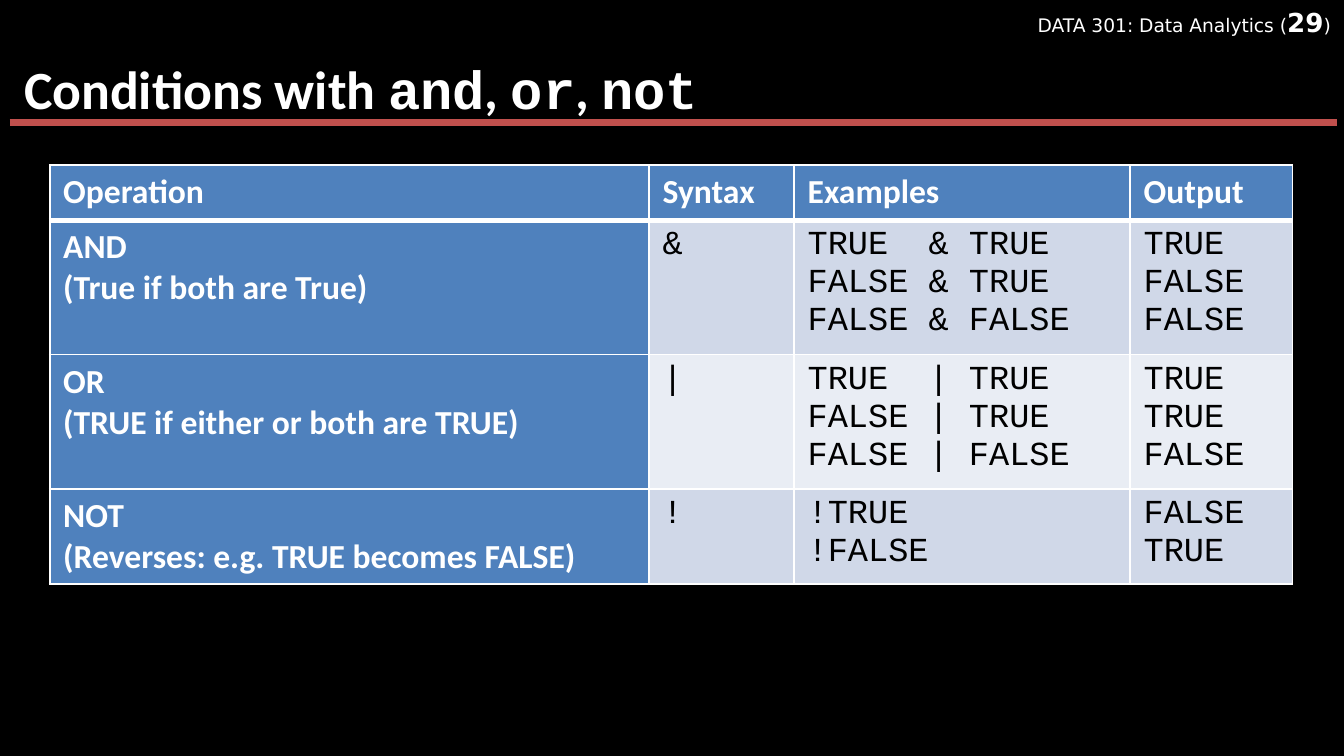
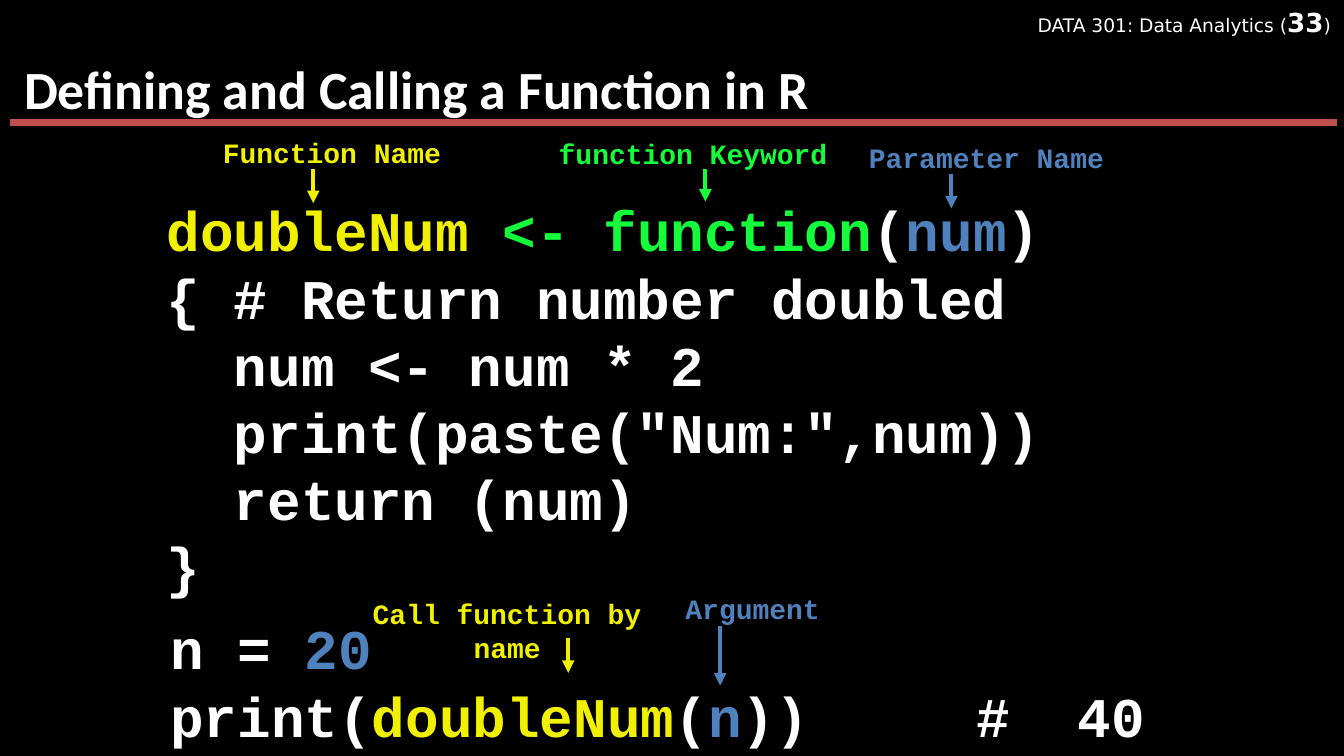
import pptx
import pptx.dml.color
import pptx.enum.shapes
import pptx.enum.text
import pptx.oxml.ns
import pptx.util
from lxml import etree

Cm = pptx.util.Cm
Pt = pptx.util.Pt
RGB = pptx.dml.color.RGBColor
qn = pptx.oxml.ns.qn
Align = pptx.enum.text.PP_ALIGN
Fit = pptx.enum.text.MSO_AUTO_SIZE
LINE = pptx.enum.shapes.MSO_CONNECTOR.STRAIGHT

BLACK = RGB(0x00, 0x00, 0x00)
WHITE = RGB(0xFF, 0xFF, 0xFF)
RED = RGB(0xC0, 0x50, 0x4D)
BLUE = RGB(0x4F, 0x81, 0xBD)
YELLOW = RGB(0xF0, 0xF0, 0x00)
GREEN = RGB(0x14, 0xFD, 0x3A)
BANDS = (RGB(0xD0, 0xD8, 0xE8), RGB(0xE9, 0xED, 0xF4))

SANS, MONO, SMALL = "Calibri", "Courier New", "DejaVu Sans"
CODE = {"font": MONO, "size": 30, "bold": True}


def write(frame, lines, align=Align.LEFT, space=None, tabs=(), **style):
    """Fill a frame; a line is a string or a list of (text, style changes)."""
    for i, line in enumerate(lines):
        para = frame.paragraphs[0] if i == 0 else frame.add_paragraph()
        para.alignment = align
        if space:
            para.line_spacing = space
        if tabs:
            props = para._p.get_or_add_pPr()
            stops = etree.SubElement(props, qn("a:tabLst"))
            for stop in tabs:
                etree.SubElement(stops, qn("a:tab"), pos=str(Cm(stop)), algn="l")
        for text, change in [(line, {})] if isinstance(line, str) else line:
            look = {"font": SANS, "size": 18, "bold": False, "color": WHITE}
            look.update(style)
            look.update(change)
            run = para.add_run()
            run.text = text
            run.font.name = look["font"]
            run.font.size = Pt(look["size"])
            run.font.bold = look["bold"]
            run.font.color.rgb = look["color"]


def add_text(shapes, box, lines, **style):
    frame = shapes.add_textbox(*map(Cm, box)).text_frame
    frame.word_wrap = True
    frame.auto_size = Fit.SHAPE_TO_FIT_TEXT
    write(frame, lines, **style)


def add_line(shapes, start, end, color, width, arrow=False):
    line = shapes.add_connector(LINE, *map(Cm, start + end))
    line.line.color.rgb = color
    line.line.width = Pt(width)
    props = line.element.spPr
    if arrow:
        etree.SubElement(props.find(qn("a:ln")), qn("a:tailEnd"), type="triangle")
    etree.SubElement(props, qn("a:effectLst"))


def add_page(deck, number, title):
    """Add a slide with the course line, the red rule and a title."""
    page = deck.slides.add_slide(deck.slide_layouts[5])
    add_text(page.shapes, (14.17, 0, 11.23, 0.86),
             [[("DATA 301: Data Analytics (", {}),
               (number, {"size": 14, "bold": True}), (")", {})]],
             align=Align.RIGHT, font=SMALL, size=10)
    add_line(page.shapes, (0.18, 2.31), (25.27, 2.31), RED, 3.75)
    head = page.shapes.title
    head.left, head.top, head.width, head.height = map(Cm, (0.2, 0, 24.97, 2.29))
    frame = head.text_frame
    frame.auto_size = Fit.NONE
    frame.vertical_anchor = pptx.enum.text.MSO_ANCHOR.BOTTOM
    frame.margin_top = frame.margin_bottom = 0
    write(frame, [title], space=0.89, size=28.8, bold=True)
    return page.shapes


def edge(cell, top, bottom):
    """Draw white cell borders with the given top and bottom widths."""
    props = cell._tc.get_or_add_tcPr()
    for side, width in zip("LRTB", (1, 1, top, bottom)):
        line = etree.SubElement(props, qn("a:ln" + side), w=str(Pt(width)))
        fill = etree.SubElement(line, qn("a:solidFill"))
        etree.SubElement(fill, qn("a:srgbClr"), val=str(WHITE))


def add_grid(shapes, left, top, widths, heights, rows):
    """Add a table with a blue first row and first column."""
    box = map(Cm, (left, top, sum(widths), sum(heights)))
    table = shapes.add_table(len(rows), len(widths), *box).table
    for column, width in zip(table.columns, widths):
        column.width = Cm(width)
    for r, row in enumerate(rows):
        table.rows[r].height = Cm(heights[r])
        for c, lines in enumerate(row):
            cell = table.cell(r, c)
            edge(cell, 3 if r == 1 else 1, 3 if r == 0 else 1)
            cell.fill.solid()
            if r == 0 or c == 0:
                cell.fill.fore_color.rgb = BLUE
                write(cell.text_frame, lines, bold=True)
            else:
                cell.fill.fore_color.rgb = BANDS[(r - 1) % 2]
                write(cell.text_frame, lines, font=MONO, color=BLACK)


def add_label(shapes, text, color, box, arrow, align=Align.CENTER):
    """Group a label with a down arrow (across, down, length) set from its box."""
    group = shapes.add_group_shape().shapes
    add_text(group, box, [text], align=align, font=MONO, size=15,
             bold=True, color=color)
    across, down, length = arrow
    x, y = box[0] + across, box[1] + down
    add_line(group, (x, y), (x, y + length), color, 2.25, arrow=True)


def logic_page(deck):
    mono = {"font": MONO}
    shapes = add_page(deck, "29", [
        ("Conditions with ", {}), ("and", mono), (", ", {}),
        ("or", mono), (", ", {}), ("not", mono)])
    add_grid(shapes, 0.94, 3.12, (11.33, 2.74, 6.35, 3.07),
             (1.04, 2.41, 2.41, 1.8), [
        [["Operation"], ["Syntax"], ["Examples"], ["Output"]],
        [["AND", "(True if both are True)"], ["&"],
         ["TRUE  & TRUE", "FALSE & TRUE", "FALSE & FALSE"],
         ["TRUE", "FALSE", "FALSE"]],
        [["OR", "(TRUE if either or both are TRUE)"], ["|"],
         ["TRUE  | TRUE", "FALSE | TRUE", "FALSE | FALSE"],
         ["TRUE", "TRUE", "FALSE"]],
        [["NOT", "(Reverses: e.g. TRUE becomes FALSE)"], ["!"],
         ["!TRUE", "!FALSE"], ["FALSE", "TRUE"]],
    ])


def code_page(deck):
    blue, yellow, green = ({"color": c} for c in (BLUE, YELLOW, GREEN))
    shapes = add_page(deck, "33", "Defining and Calling a Function in R")
    add_text(shapes, (2.97, 11.48, 21.79, 2.82), [
        [("n = ", {}), ("20", blue)],
        [("print(", {}), ("doubleNum", yellow), ("(", {}), ("n", blue),
         ("))\t#\t 40", {})],
    ], tabs=(15.24, 16.51), **CODE)
    add_text(shapes, (2.9, 3.58, 19.05, 8.59), [
        [("doubleNum ", yellow), ("<- function", green), ("(", {}),
         ("num", blue), (")", {})],
        "{\t# Return number doubled",
        "\tnum <- num * 2",
        "\tprint(paste(\"Num:\",num))",
        "\treturn (num)",
        "}",
    ], tabs=(1.27,), **CODE)
    add_label(shapes, "Call function by name", YELLOW,
              (6.27, 11.15, 6.63, 1.55), (4.47, 0.91, 0.66))
    add_label(shapes, "function Keyword", GREEN,
              (10.31, 2.46, 5.59, 0.89), (3.02, 0.74, 0.61), Align.LEFT)
    add_label(shapes, "Parameter Name", BLUE,
              (15.62, 2.54, 6.05, 0.89), (2.36, 0.74, 0.66))
    add_label(shapes, "Argument", BLUE,
              (11.2, 11.05, 6.05, 0.89), (2.41, 0.79, 1.12))
    add_label(shapes, "Function Name", YELLOW,
              (3.25, 2.44, 6.05, 0.89), (2.67, 0.76, 0.64))


def main():
    deck = pptx.Presentation()
    deck.slide_width, deck.slide_height = Cm(25.4), Cm(14.29)
    back = deck.slide_master.background.fill
    back.solid()
    back.fore_color.rgb = BLACK
    logic_page(deck)
    code_page(deck)
    deck.save("out.pptx")


if __name__ == "__main__":
    main()
